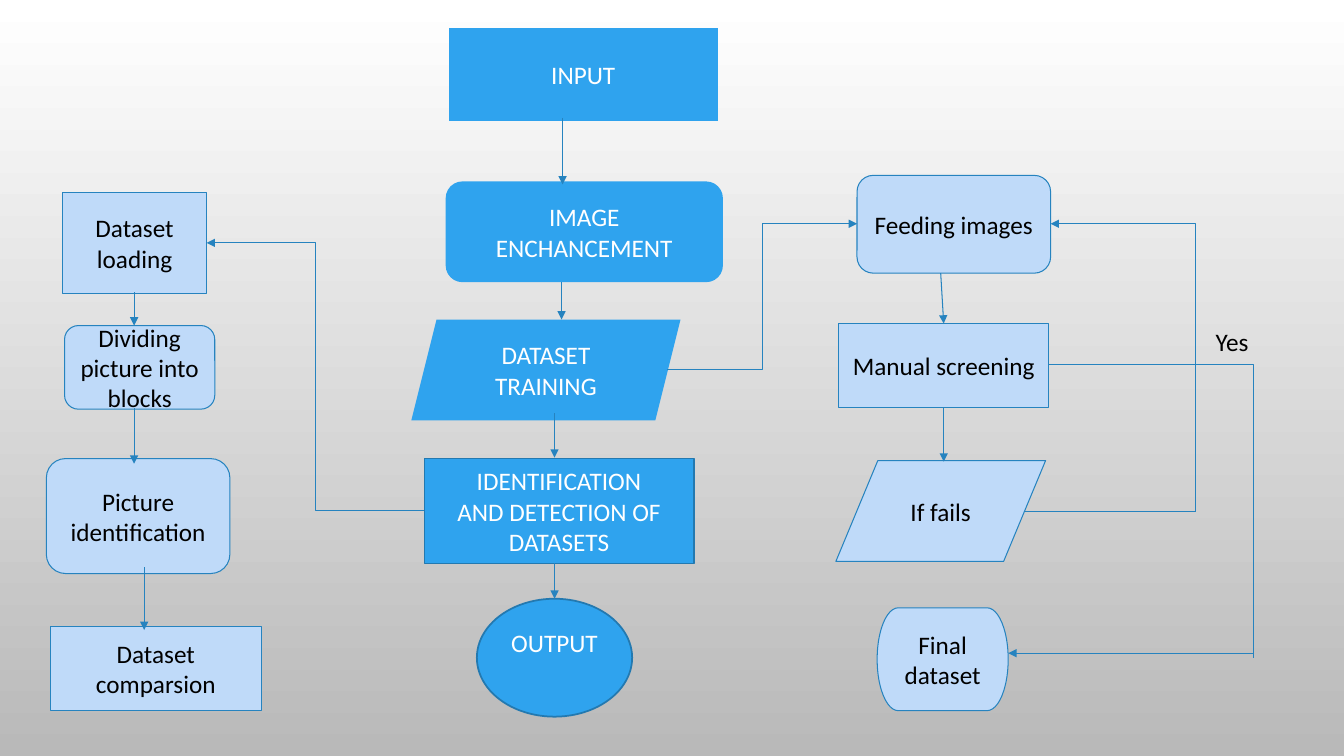
from pptx import Presentation
from pptx.dml.color import RGBColor
from pptx.enum.shapes import MSO_CONNECTOR as CONN, MSO_SHAPE as SHAPE
from pptx.enum.text import MSO_ANCHOR, PP_ALIGN
from pptx.oxml.ns import qn
from pptx.util import Inches, Pt
from lxml import etree

COLORS = {
    "main": "2FA3EE", "main_line": "2379B0", "side": "BFDAF9", "line": "2683BF",
    "white": "FFFFFF", "black": "000000", "bg_end": "B9B9B9",
}
FONT, SIZE = "Calibri", 18


def rgb(name):
    return RGBColor.from_string(COLORS[name])


def add_run(p, text, color):
    r = p.add_run()
    r.text = text
    r.font.name, r.font.size = FONT, Pt(SIZE)
    r.font.color.rgb = rgb(color)


def add_step(slide, origin, kind, box, lines, fill="side", line="line", weight=0.75):
    """Place a flowchart step; box is relative to the region's origin."""
    x, y, w, h = box
    sp = slide.shapes.add_shape(kind, Inches(origin[0] + x), Inches(origin[1] + y),
                                Inches(w), Inches(h))
    sp.shadow.inherit = False
    sp.fill.solid()
    sp.fill.fore_color.rgb = rgb(fill)
    if line:
        sp.line.color.rgb = rgb(line)
        sp.line.width = Pt(weight)
    else:
        sp.line.fill.background()
    tf = sp.text_frame
    tf.word_wrap = True
    tf.vertical_anchor = MSO_ANCHOR.MIDDLE
    for i, text in enumerate(lines):
        p = tf.add_paragraph() if i else tf.paragraphs[0]
        p.alignment = PP_ALIGN.CENTER
        add_run(p, text, "white" if fill == "main" else "black")
    return sp


def add_link(slide, origin, start, end, kind=CONN.STRAIGHT, arrow="tailEnd", corner=False):
    """Join two points; corner gives one right-angle turn, arrow names the pointed end."""
    ox, oy = origin
    cx = slide.shapes.add_connector(kind, Inches(ox + start[0]), Inches(oy + start[1]),
                                    Inches(ox + end[0]), Inches(oy + end[1]))
    cx.line.color.rgb = rgb("line")
    cx.line.width = Pt(0.75)
    sp_pr = cx._element.spPr
    if corner:
        sp_pr.find(qn("a:prstGeom")).set("prst", "bentConnector2")
    if arrow:
        etree.SubElement(sp_pr.find(qn("a:ln")), qn("a:" + arrow), type="triangle")
    etree.SubElement(sp_pr, qn("a:effectLst"))


def add_down_arrows(slide, origin, arrows):
    for x, top, bottom in arrows:
        add_link(slide, origin, (x, top), (x, bottom))


def add_main_flow(slide, origin):
    for kind, box, text in [
        (SHAPE.FLOWCHART_PROCESS, (0.37, 0, 2.67, 0.92), "INPUT"),
        (SHAPE.FLOWCHART_ALTERNATE_PROCESS, (0.34, 1.52, 2.75, 1), "IMAGE ENCHANCEMENT"),
        (SHAPE.PARALLELOGRAM, (0, 2.89, 2.67, 1), "DATASET TRAINING"),
    ]:
        add_step(slide, origin, kind, box, [text], "main", None)
    add_step(slide, origin, SHAPE.FLOWCHART_PROCESS, (0.13, 4.27, 2.67, 1.04),
             ["IDENTIFICATION", "AND DETECTION OF DATASETS"], "main", "main_line", 1.25)
    output = add_step(slide, origin, SHAPE.FLOWCHART_CONNECTOR, (0.65, 5.66, 1.54, 1.17),
                      ["OUTPUT"], "main", "main_line", 1.25)
    output.text_frame.margin_bottom = Inches(0.35)
    add_down_arrows(slide, origin, [(1.5, 0.89, 1.55), (1.49, 2.52, 2.89),
                                    (1.42, 3.82, 4.26), (1.42, 5.31, 5.66)])


def add_identification_flow(slide, origin):
    for kind, box, text in [
        (SHAPE.FLOWCHART_PROCESS, (0.16, 0, 1.43, 1), "Dataset loading"),
        (SHAPE.FLOWCHART_ALTERNATE_PROCESS, (0.18, 1.32, 1.49, 0.83),
         "Dividing picture into blocks"),
        (SHAPE.FLOWCHART_ALTERNATE_PROCESS, (0, 2.64, 1.82, 1.14), "Picture identification"),
        (SHAPE.FLOWCHART_PROCESS, (0.04, 4.31, 2.09, 0.83), "Dataset comparsion"),
    ]:
        add_step(slide, origin, kind, box, [text])
    add_down_arrows(slide, origin, [(0.87, 0.99, 1.32), (0.87, 2.14, 2.69),
                                    (0.97, 3.72, 4.34)])


def add_training_flow(slide, origin):
    for kind, box, text in [
        (SHAPE.FLOWCHART_ALTERNATE_PROCESS, (0.21, 0, 1.92, 0.97), "Feeding images"),
        (SHAPE.FLOWCHART_PROCESS, (0.03, 1.47, 2.08, 0.83), "Manual screening"),
        (SHAPE.FLOWCHART_DATA, (0, 2.83, 2.08, 1), "If fails"),
        (SHAPE.FLOWCHART_TERMINATOR, (0.41, 4.29, 1.3, 1.02), "Final dataset"),
    ]:
        add_step(slide, origin, kind, box, [text])
    add_link(slide, origin, (1.04, 0.97), (1.07, 1.47))
    add_down_arrows(slide, origin, [(1.07, 2.3, 2.84)])
    # Failed images return to feeding
    add_link(slide, origin, (1.87, 3.33), (3.57, 3.33), arrow=None)
    add_link(slide, origin, (2.13, 0.48), (3.57, 3.33), CONN.ELBOW, "headEnd", True)
    # Accepted images go on to the final dataset
    add_link(slide, origin, (2.11, 1.88), (4.14, 4.79), CONN.ELBOW, None, True)
    add_link(slide, origin, (4.14, 4.74), (1.71, 4.74))
    label = slide.shapes.add_textbox(Inches(origin[0] + 3.67), Inches(origin[1] + 1.45),
                                     Inches(0.53), Inches(0.71))
    label.text_frame.word_wrap = False
    add_run(label.text_frame.paragraphs[0], "Yes", "black")


def set_background(slide):
    fill = slide.background.fill
    fill.gradient()
    fill.gradient_angle = 270
    for stop, color in zip(fill.gradient_stops, ("white", "bg_end")):
        stop.color.rgb = rgb(color)


def main():
    prs = Presentation()
    prs.slide_width, prs.slide_height = Inches(13.33), Inches(7.5)
    slide = prs.slides.add_slide(prs.slide_layouts[6])
    set_background(slide)
    add_main_flow(slide, (4.08, 0.28))
    add_identification_flow(slide, (0.46, 1.91))
    add_training_flow(slide, (8.29, 1.74))
    add_link(slide, (0, 0), (4.21, 5.07), (2.05, 2.41), CONN.ELBOW)
    add_link(slide, (0, 0), (6.62, 3.67), (8.5, 2.22), CONN.ELBOW)
    prs.save("out.pptx")


if __name__ == "__main__":
    main()
